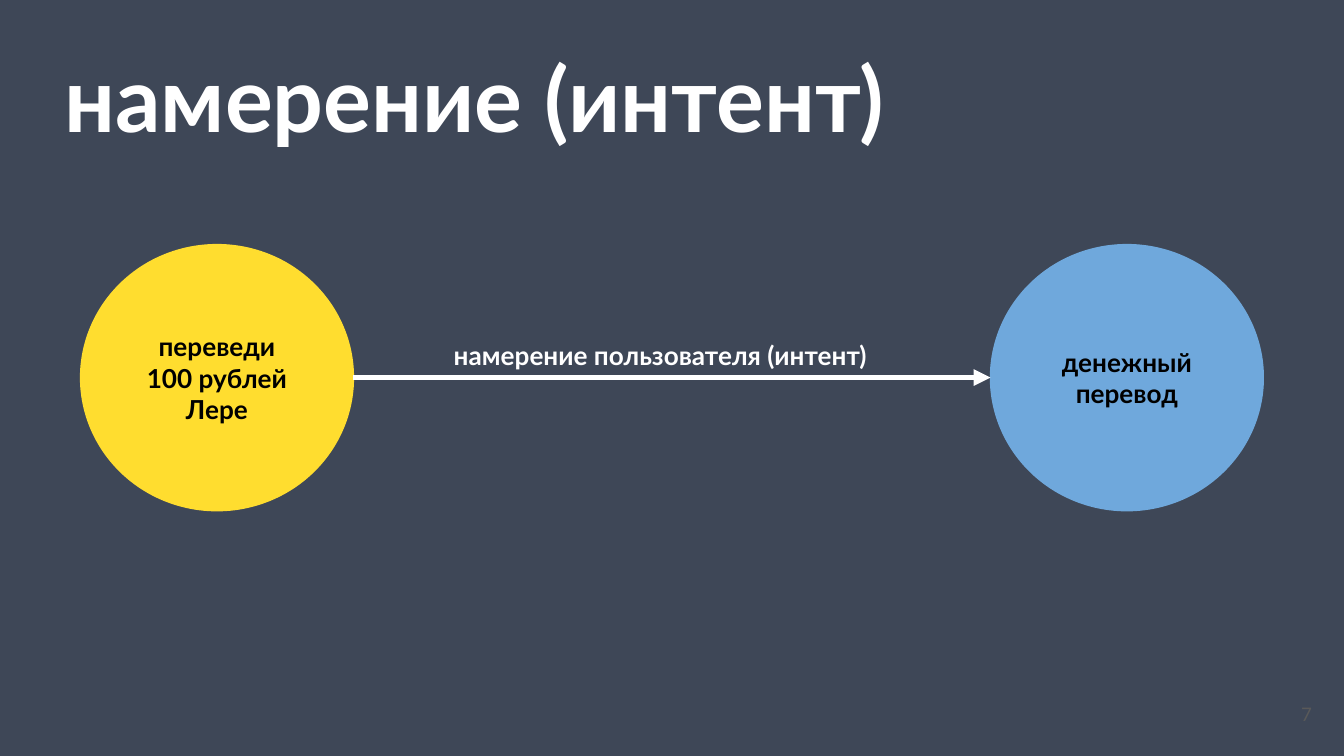
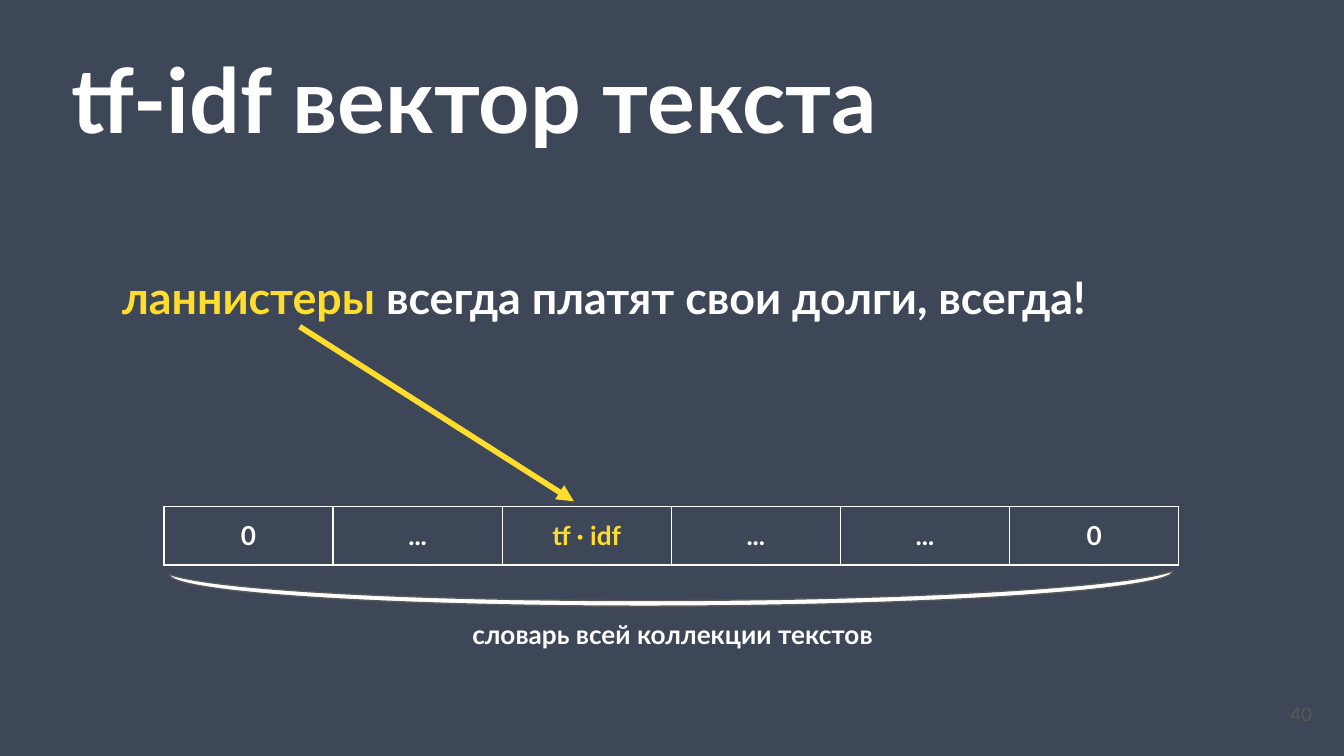
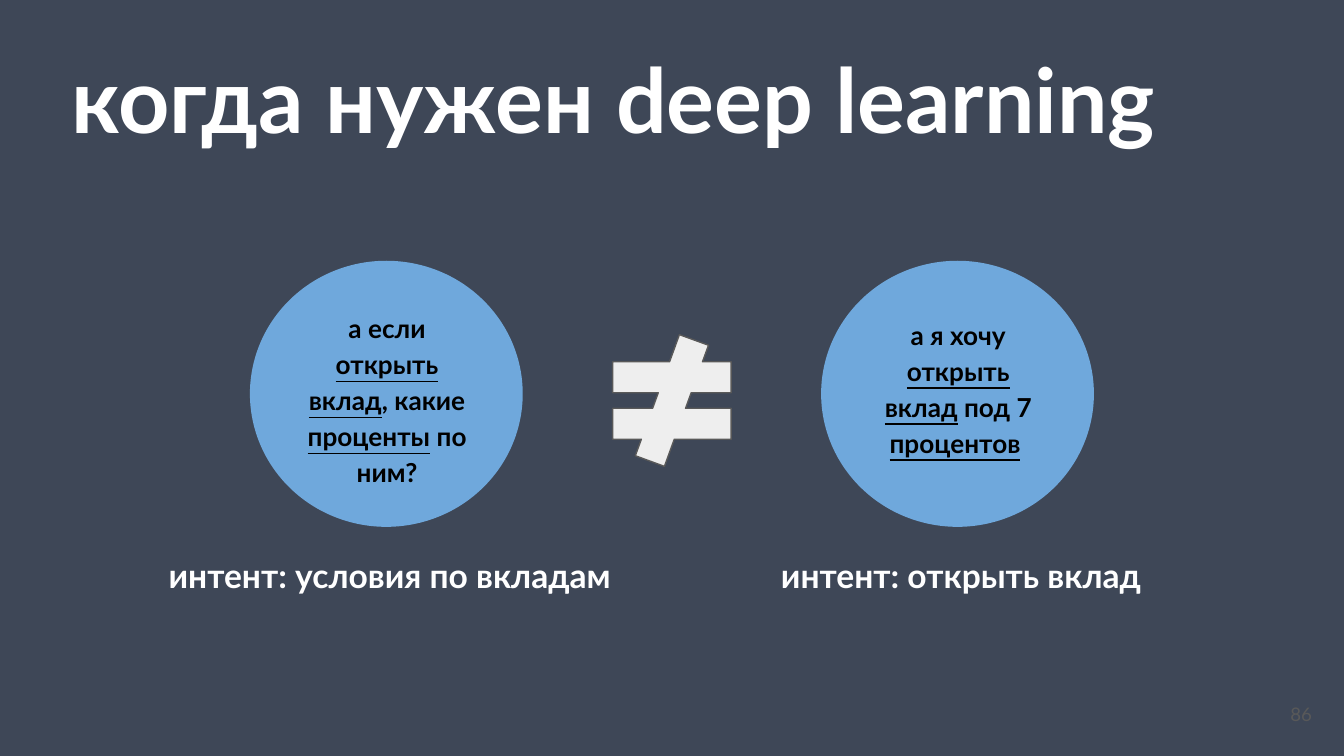
from typing import NamedTuple, Optional

from lxml import etree
from pptx import Presentation
from pptx.dml.color import RGBColor
from pptx.enum.shapes import MSO_CONNECTOR as Link, MSO_SHAPE as Shape
from pptx.enum.text import MSO_ANCHOR as Anchor, MSO_AUTO_SIZE as AutoSize, PP_ALIGN as Align
from pptx.oxml.ns import qn
from pptx.util import Inches, Pt

COLORS = {
    "background": "3E4757",
    "white": "FFFFFF",
    "black": "000000",
    "yellow": "FFDD2F",
    "accent": "FFDD2D",
    "blue": "6FA8DC",
    "grey": "EEEEEE",
    "outline": "595959",
}
FONT = "Lato"
TITLE_ONLY = 5
CIRCLE_WIDTH, CIRCLE_HEIGHT = 2.03, 1.98


class Box(NamedTuple):
    left: float
    top: float
    width: float
    height: float

    def inches(self) -> list:
        return [Inches(length) for length in self]


class Run(NamedTuple):
    text: str
    color: Optional[str] = None
    underline: Optional[bool] = None


class Style(NamedTuple):
    size: float = 14
    color: str = "white"
    align: Align = Align.CENTER
    bold: bool = True
    spacing: Optional[float] = None


class Circle(NamedTuple):
    left: float
    top: float
    color: str
    lines: tuple = ()
    outlined: bool = False


class Intent(NamedTuple):
    circle: Circle
    phrase_box: Box
    phrase: list
    caption_box: Box
    caption: str


# Shared drawing functions
def rgb(name: str) -> RGBColor:
    return RGBColor.from_string(COLORS[name])


def write(frame, lines, style: Style, inset_y: float = 0.1) -> None:
    """Fill a text frame; each line is a list of runs and makes one paragraph."""
    frame.word_wrap = True
    frame.auto_size = AutoSize.NONE
    frame.margin_left = frame.margin_right = Inches(0.1)
    frame.margin_top = frame.margin_bottom = Inches(inset_y)
    for index, runs in enumerate(lines):
        paragraph = frame.add_paragraph() if index else frame.paragraphs[0]
        write_paragraph(paragraph, runs, style)


def write_paragraph(paragraph, runs, style: Style) -> None:
    paragraph.alignment = style.align
    if style.spacing:
        paragraph.line_spacing = style.spacing
    font = paragraph.font
    font.name, font.size, font.bold = FONT, Pt(style.size), style.bold
    font.color.rgb = rgb(style.color)
    for text, color, underline in runs:
        run = paragraph.add_run()
        run.text = text
        if color:
            run.font.color.rgb = rgb(color)
        if underline:
            run.font.underline = True


def add_text(slide, box: Box, runs, style: Style = Style(), inset_y: float = 0.05) -> None:
    write(slide.shapes.add_textbox(*box.inches()).text_frame, [runs], style, inset_y)


def add_figure(slide, kind: Shape, box: Box, fill: str, line: Optional[str] = None):
    figure = slide.shapes.add_shape(kind, *box.inches())
    figure.shadow.inherit = False
    figure.fill.solid()
    figure.fill.fore_color.rgb = rgb(fill)
    if line:
        figure.line.color.rgb = rgb(line)
        figure.line.width = Pt(0.75)
    else:
        figure.line.fill.background()
    return figure


def add_circle(slide, circle: Circle) -> None:
    box = Box(circle.left, circle.top, CIRCLE_WIDTH, CIRCLE_HEIGHT)
    outline = circle.color if circle.outlined else None
    disc = add_figure(slide, Shape.OVAL, box, circle.color, outline)
    if circle.lines:
        write(disc.text_frame, [[Run(line)] for line in circle.lines], Style(color="black"))
        disc.text_frame.vertical_anchor = Anchor.MIDDLE


def add_arrow(slide, kind: Link, start: tuple, end: tuple, color: str) -> None:
    arrow = slide.shapes.add_connector(kind, *[Inches(value) for value in start + end])
    arrow.line.color.rgb = rgb(color)
    arrow.line.width = Pt(3)
    etree.SubElement(arrow.line._get_or_add_ln(), qn("a:tailEnd"), type="triangle")
    etree.SubElement(arrow._element.spPr, qn("a:effectLst"))


def add_borders(cell, color: str) -> None:
    properties = cell._tc.get_or_add_tcPr()
    for position, side in enumerate(("lnL", "lnR", "lnT", "lnB")):
        border = etree.Element(qn(f"a:{side}"), w=str(Pt(0.75)))
        fill = etree.SubElement(border, qn("a:solidFill"))
        etree.SubElement(fill, qn("a:srgbClr"), val=COLORS[color])
        properties.insert(position, border)


def start_slide(prs, title: str, title_box: Box, number: int):
    slide = prs.slides.add_slide(prs.slide_layouts[TITLE_ONLY])
    heading = slide.shapes.title
    heading.left, heading.top, heading.width, heading.height = title_box.inches()
    write(heading.text_frame, [[Run(title)]], Style(48, align=Align.LEFT))
    heading.text_frame.vertical_anchor = Anchor.TOP
    add_text(slide, Box(9.26, 5.18, 0.6, 0.28), [Run(str(number))],
             Style(10, "outline", Align.RIGHT, bold=False))
    return slide


# Slide contents
def build_intent(prs) -> None:
    slide = start_slide(prs, "намерение (интент)", Box(0.38, 0.22, 7.82, 1.16), 7)
    request = Circle(0.6, 1.82, "yellow", ("переведи 100 рублей", "Лере"), True)
    action = Circle(7.37, 1.82, "blue", ("денежный перевод",), True)
    for circle in (request, action):
        add_circle(slide, circle)
    middle = request.top + CIRCLE_HEIGHT / 2
    add_arrow(slide, Link.CURVE, (request.left + CIRCLE_WIDTH, middle),
              (action.left, middle), "white")
    add_text(slide, Box(2.69, 2.48, 4.4, 0.34), [Run(" намерение пользователя (интент)")])


def build_vector(prs) -> None:
    slide = start_slide(prs, "tf-idf вектор текста", Box(0.43, 0.23, 8.22, 0.88), 40)
    add_text(slide, Box(0.81, 1.91, 8.3, 0.5),
             [Run("ланнистеры ", "accent"), Run("всегда платят свои долги, всегда!")],
             Style(24, align=Align.LEFT), inset_y=0.1)

    # Vector of word weights
    weights = ("0", "...", "tf ∙ idf", "...", "...", "0")
    vector = slide.shapes.add_table(1, len(weights), *Box(1.22, 3.77, 7.55, 0.43).inches()).table
    vector.first_row = vector.horz_banding = False
    for cell, weight in zip(vector.iter_cells(), weights):
        cell.fill.background()
        cell.margin_left = cell.margin_right = Inches(0.1)
        cell.margin_top = cell.margin_bottom = Inches(0.1)
        color = "accent" if "idf" in weight else "white"
        write_paragraph(cell.text_frame.paragraphs[0], [Run(weight)], Style(color=color))
        add_borders(cell, "white")

    add_arrow(slide, Link.STRAIGHT, (2.23, 2.43), (4.27, 3.73), "accent")
    add_text(slide, Box(3.06, 4.55, 3.89, 0.34), [Run("словарь всей коллекции текстов")])
    brace = add_figure(slide, Shape.MOON, Box(4.87, 0.65, 0.25, 7.47), "white", "outline")
    brace.adjustments[0] = 0.168
    brace.rotation = 269.8


def build_deep_learning(prs) -> None:
    slide = start_slide(prs, "когда нужен deep learning", Box(0.43, 0.23, 9.06, 1.19), 86)
    intents = (
        Intent(Circle(1.86, 1.94, "blue"), Box(2.12, 2.19, 1.52, 1.47),
               [Run("а если "), Run("открыть вклад", underline=True), Run(", какие "),
                Run("проценты", underline=True), Run(" по ним?")],
               Box(0.67, 4.08, 4.4, 0.34), " интент: условия по вкладам"),
        Intent(Circle(6.11, 1.94, "blue"), Box(6.37, 2.24, 1.52, 1.47),
               [Run("а я хочу "), Run("открыть вклад", underline=True), Run(" под 7 "),
                Run("процентов", underline=True), Run(" ")],
               Box(4.92, 4.08, 4.4, 0.34), " интент: открыть вклад"),
    )
    for intent in intents:
        add_circle(slide, intent.circle)
        add_text(slide, intent.phrase_box, intent.phrase,
                 Style(color="black", spacing=1.15), inset_y=0.1)
        add_text(slide, intent.caption_box, [Run(intent.caption)], Style(18))

    not_equal = add_figure(slide, Shape.MATH_NOT_EQUAL, Box(4.4, 2.49, 1.2, 0.98),
                           "grey", "outline")
    for index, value in enumerate((0.235, 66, 0.118)):
        not_equal.adjustments[index] = value


def main() -> None:
    prs = Presentation()
    prs.slide_width = Inches(10)
    prs.slide_height = prs.slide_width * 9 // 16
    backdrop = prs.slide_master.background.fill
    backdrop.solid()
    backdrop.fore_color.rgb = rgb("background")
    build_intent(prs)
    build_vector(prs)
    build_deep_learning(prs)
    prs.save("out.pptx")


if __name__ == "__main__":
    main()
